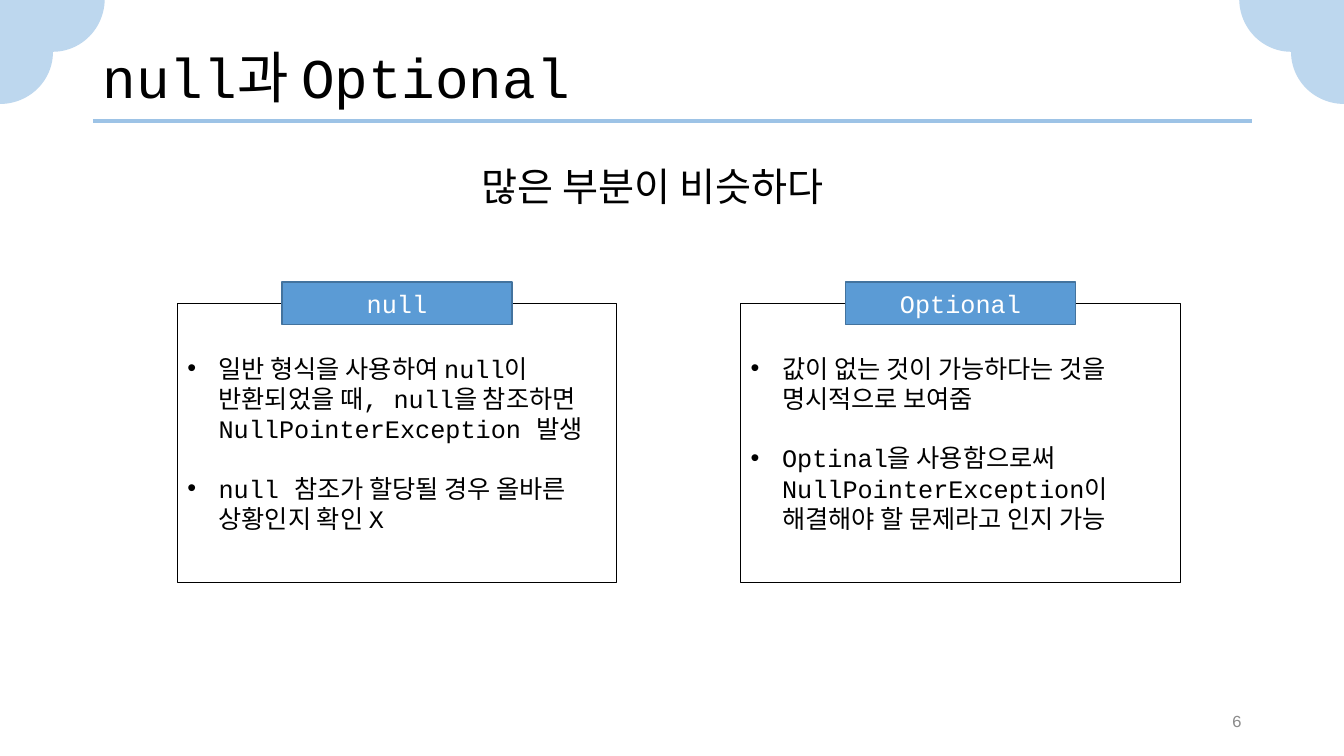
from collections import namedtuple

from lxml.etree import SubElement
from pptx import Presentation
from pptx.dml.color import RGBColor
from pptx.enum.shapes import MSO_CONNECTOR, MSO_SHAPE
from pptx.enum.text import MSO_ANCHOR, PP_ALIGN
from pptx.oxml.ns import qn
from pptx.util import Cm, Pt

COLORS = {
    "text": "000000",
    "rule": "9DC3E6",
    "cloud": "BDD7EE",
    "tab": "5B9BD5",
    "tab_edge": "43739E",
    "tab_text": "FFFFFF",
    "number": "8C8C8C",
}
FONT = "Courier New"
PAGE_WIDTH, PAGE_HEIGHT = 33.87, 19.05

# Lengths in centimetres
Box = namedtuple("Box", "left top width height")

CARDS = {
    "null": [
        "일반 형식을 사용하여 null이 반환되었을 때, null을 참조하면 NullPointerException 발생",
        "null 참조가 할당될 경우 올바른 상황인지 확인 X",
    ],
    "Optional": [
        "값이 없는 것이 가능하다는 것을 명시적으로 보여줌",
        "Optinal을 사용함으로써 NullPointerException이 해결해야 할 문제라고 인지 가능",
    ],
}


def color(name):
    return RGBColor.from_string(COLORS[name])


def lengths(box):
    return [Cm(value) for value in box]


def write(frame, texts, size, ink="text", anchor=MSO_ANCHOR.TOP, **formats):
    """Fill a text frame with one paragraph per text."""
    frame.word_wrap = True
    frame.vertical_anchor = anchor
    formats = {"alignment": PP_ALIGN.LEFT, **formats}
    for index, text in enumerate(texts):
        para = frame.paragraphs[0] if index == 0 else frame.add_paragraph()
        for name, value in formats.items():
            setattr(para, name, value)
        span = para.add_run()
        span.text = text
        for name, value in {"name": FONT, "size": Pt(size)}.items():
            setattr(span.font, name, value)
        span.font.color.rgb = color(ink)


def add_text(page, box, text, size, **formats):
    frame = page.shapes.add_textbox(*lengths(box)).text_frame
    write(frame, [text], size, **formats)


def add_panel(page, kind, box, fill=None, edge=None, weight=1):
    panel = page.shapes.add_shape(kind, *lengths(box))
    panel.shadow.inherit = False
    if fill:
        panel.fill.solid()
        panel.fill.fore_color.rgb = color(fill)
    else:
        panel.fill.background()
    if edge:
        panel.line.color.rgb = color(edge)
        panel.line.width = Pt(weight)
    else:
        panel.line.fill.background()
    return panel


def add_bullets(frame):
    indent = Cm(0.79)
    for para in frame.paragraphs:
        properties = para._p.get_or_add_pPr()
        properties.set("marL", str(indent))
        properties.set("indent", str(-indent))
        SubElement(properties, qn("a:buFont"), typeface="Arial")
        SubElement(properties, qn("a:buChar"), char="•")


def add_cloud(page, corner, inward, rotation):
    """Two half discs at a top corner; inward is 1 on the left, -1 on the right."""
    width, height = 2.62, 2.67
    centers = [(corner, 1.31, rotation), (corner + inward * 1.33, -0.03, 0)]
    for center_x, center_y, angle in centers:
        box = Box(center_x - width / 2, center_y - height / 2, width, height)
        disc = add_panel(page, MSO_SHAPE.PIE, box, fill="cloud")
        disc.rotation = angle
        disc.adjustments[0] = 0
        disc.adjustments[1] = 108  # 180 degrees


def add_header(page, box, title):
    bottom = Cm(box.top + box.height)
    rule = page.shapes.add_connector(
        MSO_CONNECTOR.STRAIGHT, Cm(box.left), bottom, Cm(box.left + box.width), bottom
    )
    rule.line.color.rgb = color("rule")
    rule.line.width = Pt(2.25)
    SubElement(rule._element.spPr, qn("a:effectLst"))
    add_text(page, box, title, 40, anchor=MSO_ANCHOR.MIDDLE, line_spacing=0.9)


def add_card(page, box, heading, points):
    """A framed list with a tab centred on its top edge."""
    tab_width, tab_height = 5.79, 1.07
    drop = tab_height / 2

    # Frame and list
    frame_box = Box(box.left, box.top + drop, box.width, box.height - drop)
    panel = add_panel(page, MSO_SHAPE.RECTANGLE, frame_box, edge="text", weight=0.75)
    write(panel.text_frame, points, 18, anchor=MSO_ANCHOR.MIDDLE)
    for para in panel.text_frame.paragraphs[1:]:
        para.space_before = Pt(21)
    add_bullets(panel.text_frame)

    # Tab
    tab_left = box.left + (box.width - tab_width) / 2
    tab_box = Box(tab_left, box.top, tab_width, tab_height)
    tab = add_panel(page, MSO_SHAPE.RECTANGLE, tab_box, fill="tab", edge="tab_edge")
    write(tab.text_frame, [heading], 18, ink="tab_text",
          anchor=MSO_ANCHOR.MIDDLE, alignment=PP_ALIGN.CENTER)


def add_cards(page, box, cards):
    card_width = 11.07
    step = (box.width - card_width) / (len(cards) - 1)
    for index, (heading, points) in enumerate(cards.items()):
        card_box = Box(box.left + index * step, box.top, card_width, box.height)
        add_card(page, card_box, heading, points)


def main():
    deck = Presentation()
    deck.slide_width, deck.slide_height = Cm(PAGE_WIDTH), Cm(PAGE_HEIGHT)
    page = deck.slides.add_slide(deck.slide_layouts[6])

    # Corner clouds
    add_cloud(page, 0, 1, 270)
    add_cloud(page, PAGE_WIDTH, -1, 90)

    # Title, message and page number
    add_header(page, Box(2.34, 1.02, 29.21, 2.03), "null과 Optional")
    add_text(page, Box(11.89, 4.11, 10.08, 1.57), "많은 부분이 비슷하다", 28,
             line_spacing=0.9, space_before=Pt(10))
    add_text(page, Box(23.93, 17.65, 7.62, 1.02), "6", 12, ink="number",
             anchor=MSO_ANCHOR.MIDDLE, alignment=PP_ALIGN.RIGHT)

    # Comparison
    add_cards(page, Box(4.47, 7.11, 25.27, 7.58), CARDS)

    deck.save("out.pptx")


if __name__ == "__main__":
    main()
